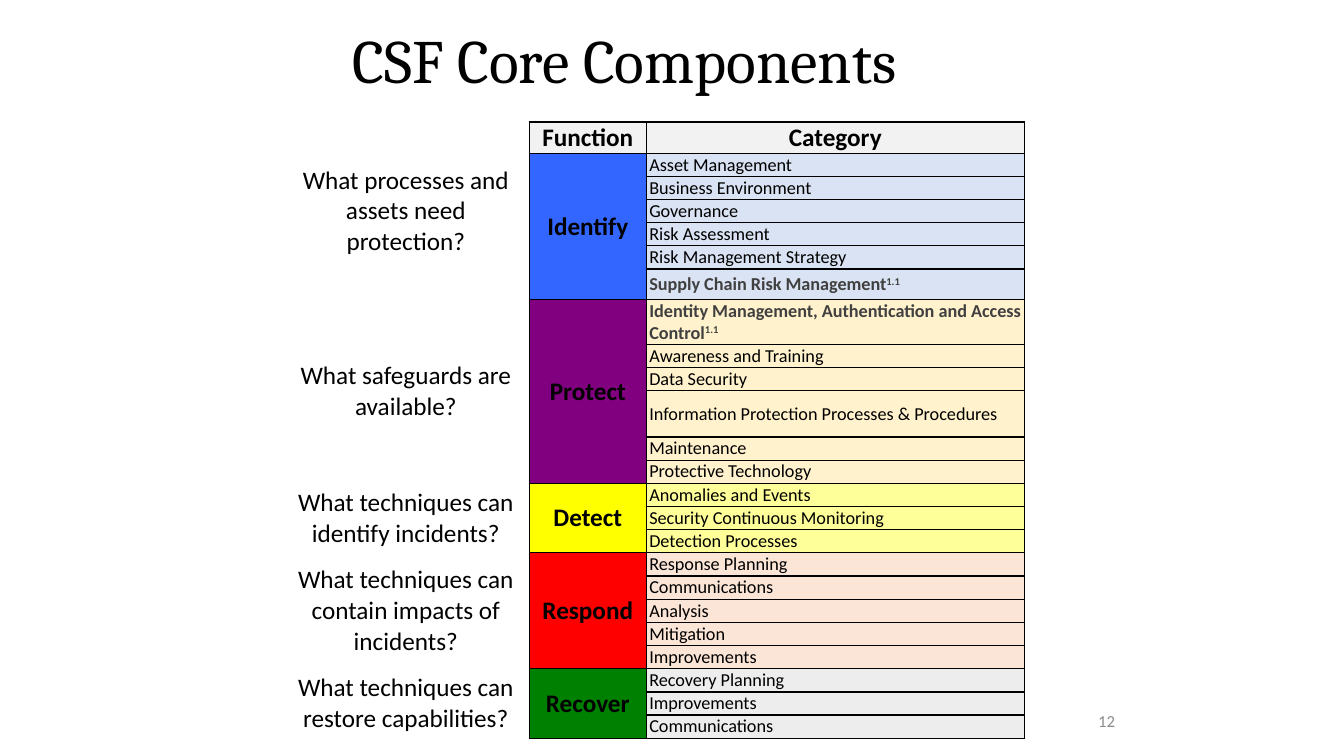
from pptx import Presentation
from pptx.dml.color import RGBColor
from pptx.enum.text import MSO_ANCHOR, MSO_AUTO_SIZE, PP_ALIGN
from pptx.oxml.ns import qn
from pptx.util import Inches, Pt
from lxml.etree import SubElement

COLUMN_WIDTHS = [2.45, 1.16, 3.75]
HEADER_HEIGHT, ROW_HEIGHT = 0.31, 0.23
TALL_ROWS = {"Supply Chain Risk Management": 0.28,
             "Information Protection Processes & Procedures": 0.46}
# Categories that carry a version mark
VERSION = "1.1"
VERSIONED = {"Supply Chain Risk Management",
             "Identity Management, Authentication and Access Control"}

# Function, its colour, category colour, question, rows the question spans, categories
FUNCTIONS = [
    ("Identify", "3366FF", "DAE3F3", "What processes and assets need protection?", 5,
     ["Asset Management", "Business Environment", "Governance", "Risk Assessment",
      "Risk Management Strategy", "Supply Chain Risk Management"]),
    ("Protect", "800080", "FFF2CC", "What safeguards are available?", 6,
     ["Identity Management, Authentication and Access Control",
      "Awareness and Training", "Data Security",
      "Information Protection Processes & Procedures",
      "Maintenance", "Protective Technology"]),
    ("Detect", "FFFF00", "FFFF99", "What techniques can identify incidents?", 3,
     ["Anomalies and Events", "Security Continuous Monitoring", "Detection Processes"]),
    ("Respond", "FF0000", "FBE5D6", "What techniques can contain impacts of incidents?", 5,
     ["Response Planning", "Communications", "Analysis", "Mitigation", "Improvements"]),
    ("Recover", "008000", "EDEDED", "What techniques can restore capabilities?", 3,
     ["Recovery Planning", "Improvements", "Communications"]),
]

# Paragraph formats
CENTERED = {"alignment": PP_ALIGN.CENTER, "space_after": Pt(6)}
LISTED = {"alignment": PP_ALIGN.LEFT, "space_before": Pt(3), "space_after": Pt(3)}


def color(value):
    return RGBColor.from_string(value)


def set_attributes(target, values):
    for name, value in values.items():
        setattr(target, name, value)


def add_run(paragraph, text, size, font_color="000000", bold=False, name="Calibri"):
    run = paragraph.add_run()
    run.text = text
    set_attributes(run.font, {"size": Pt(size), "bold": bold, "name": name})
    run.font.color.rgb = color(font_color)
    return run


def place(shape, box):
    for name, value in zip(("left", "top", "width", "height"), box):
        setattr(shape, name, Inches(value))


def format_cell(cell, fill, sides):
    """Set margins, borders on the given sides, and fill."""
    set_attributes(cell, {"margin_left": Inches(0.03), "margin_right": Inches(0.03),
                          "margin_top": 0, "margin_bottom": 0,
                          "vertical_anchor": MSO_ANCHOR.MIDDLE})
    properties = cell._tc.get_or_add_tcPr()
    for side in "LRTB":
        line = SubElement(properties, qn(f"a:ln{side}"), w=str(Pt(1)))
        if side in sides:
            solid = SubElement(line, qn("a:solidFill"))
            SubElement(solid, qn("a:srgbClr"), val="000000")
        else:
            SubElement(line, qn("a:noFill"))
    if fill:
        cell.fill.solid()
        cell.fill.fore_color.rgb = color(fill)
    else:
        cell.fill.background()


def write_cell(cell, text, paragraph_format, **font):
    paragraph = cell.text_frame.paragraphs[0]
    set_attributes(paragraph, paragraph_format)
    add_run(paragraph, text, **font)
    return paragraph


def write_category(cell, category):
    if category not in VERSIONED:
        write_cell(cell, category, LISTED, size=13)
        return
    font = {"size": 13, "font_color": "404040", "bold": True}
    paragraph = write_cell(cell, category, LISTED, **font)
    mark = add_run(paragraph, VERSION, **font)
    mark.font._element.set("baseline", "30000")


def add_function(table, first, function):
    """Fill the rows of one function, starting at row first."""
    name, strong, pale, question, question_rows, categories = function
    for row, category in enumerate(categories, first):
        table.rows[row].height = Inches(TALL_ROWS.get(category, ROW_HEIGHT))
        for column, (fill, sides) in enumerate(((None, "R"), (strong, "LRTB"), (pale, "LRTB"))):
            format_cell(table.cell(row, column), fill, sides)
        write_category(table.cell(row, 2), category)
    table.cell(first, 0).merge(table.cell(first + question_rows - 1, 0))
    table.cell(first, 1).merge(table.cell(first + len(categories) - 1, 1))
    write_cell(table.cell(first, 0), question, CENTERED, size=18)
    write_cell(table.cell(first, 1), name, CENTERED, size=18, bold=True)
    return first + len(categories)


def add_core_table(slide, box):
    row_count = 1 + sum(len(function[-1]) for function in FUNCTIONS)
    table = slide.shapes.add_table(row_count, 3, *map(Inches, box)).table
    set_attributes(table, {"first_row": False, "horz_banding": False})
    for column, width in zip(table.columns, COLUMN_WIDTHS):
        column.width = Inches(width)

    # Header
    table.rows[0].height = Inches(HEADER_HEIGHT)
    format_cell(table.cell(0, 0), None, "R")
    for column, heading in enumerate(("Function", "Category"), 1):
        format_cell(table.cell(0, column), "F2F2F2", "LRTB")
        write_cell(table.cell(0, column), heading, CENTERED, size=18, bold=True)

    # Functions
    row = 1
    for function in FUNCTIONS:
        row = add_function(table, row, function)


def add_title(slide, box):
    title = slide.shapes.title
    place(title, box)
    set_attributes(title.text_frame, {"vertical_anchor": MSO_ANCHOR.MIDDLE, "word_wrap": True,
                                      "auto_size": MSO_AUTO_SIZE.NONE})
    paragraph = title.text_frame.paragraphs[0]
    set_attributes(paragraph, {"alignment": PP_ALIGN.CENTER, "line_spacing": 0.9})
    add_run(paragraph, "CSF Core Components ", 44, name="Cambria")


def add_page_number(slide, box):
    frame = slide.shapes.add_textbox(*map(Inches, box)).text_frame
    set_attributes(frame, {"vertical_anchor": MSO_ANCHOR.MIDDLE, "word_wrap": True})
    paragraph = frame.paragraphs[0]
    paragraph.alignment = PP_ALIGN.RIGHT
    add_run(paragraph, "12", 12, "8C8C8C")


def main():
    presentation = Presentation()
    set_attributes(presentation, {"slide_width": Inches(13.33), "slide_height": Inches(7.5)})
    slide = presentation.slides.add_slide(presentation.slide_layouts[5])
    add_core_table(slide, (2.8, 1.21, 7.37, 6.14))
    add_page_number(slide, (8.83, 6.95, 2.33, 0.4))
    add_title(slide, (1.64, 0.22, 9.25, 0.83))
    presentation.save("out.pptx")


if __name__ == "__main__":
    main()
